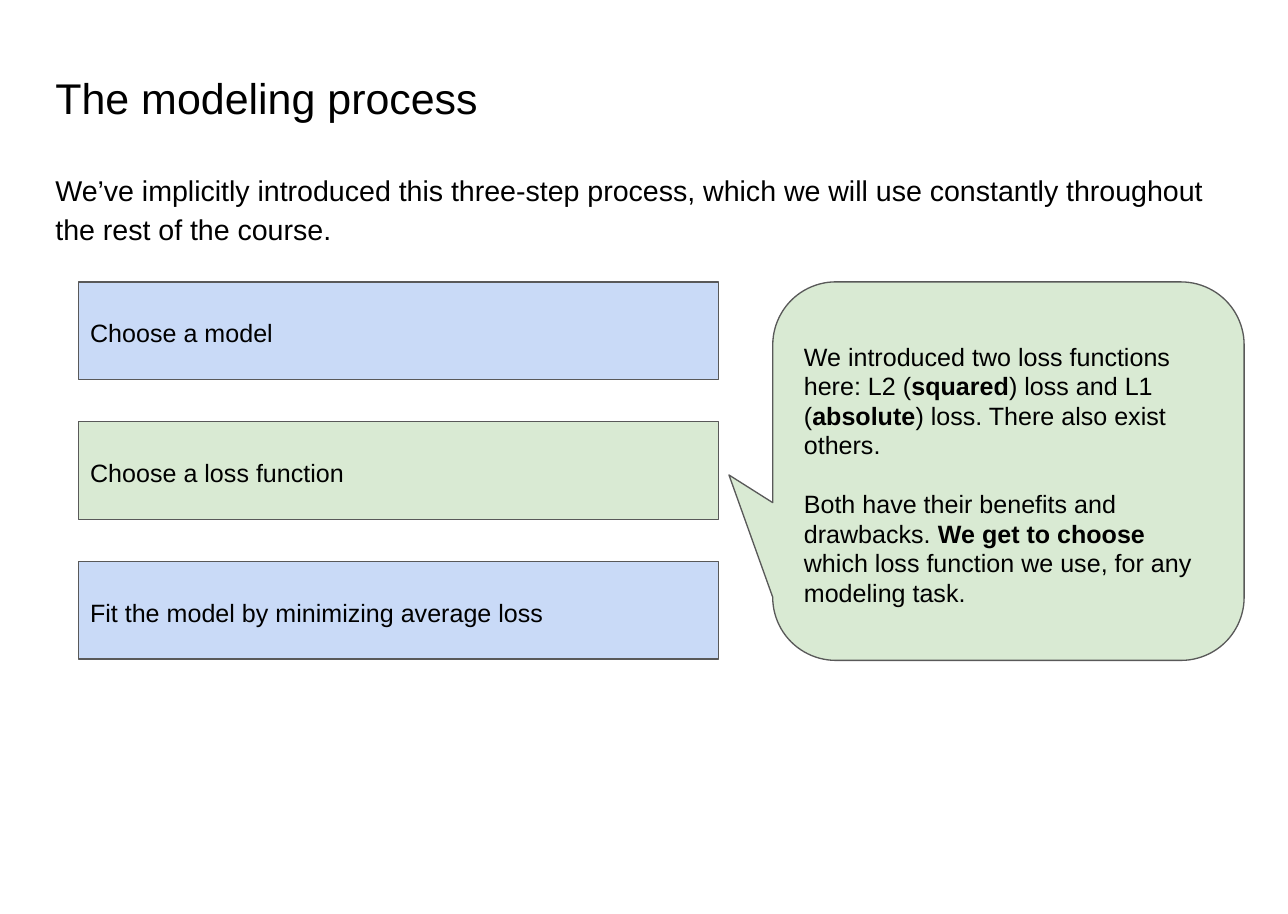
import pptx
import pptx.util
import pptx.dml.color
import pptx.enum.shapes
import pptx.enum.text
from lxml import etree

Inches, Pt = pptx.util.Inches, pptx.util.Pt
RGBColor = pptx.dml.color.RGBColor
Kind = pptx.enum.shapes.MSO_SHAPE
Anchor = pptx.enum.text.MSO_ANCHOR
Align = pptx.enum.text.PP_ALIGN
Fit = pptx.enum.text.MSO_AUTO_SIZE

BLACK = RGBColor(0x00, 0x00, 0x00)
GRAY = RGBColor(0x59, 0x59, 0x59)
BLUE = RGBColor(0xC9, 0xDA, 0xF7)
GREEN = RGBColor(0xD9, 0xEA, 0xD3)

# Content: a paragraph is a list of (text, bold) runs
TITLE = [[("The modeling process", False)]]
INTRO = [[("We’ve implicitly introduced this three-step process, which we "
           "will use constantly throughout the rest of the course.", False)]]
STEPS = [
    ("Choose a model", BLUE),
    ("Choose a loss function", GREEN),
    ("Fit the model by minimizing average loss", BLUE),
]
NOTE = [
    [("We introduced two loss functions here: L2 (", False),
     ("squared", True), (") loss and L1 (", False), ("absolute", True),
     (") loss. There also exist others.", False)],
    [("Both have their benefits and drawbacks. ", False),
     ("We get to choose ", True),
     ("which loss function we use, for any modeling task.", False)],
]

# Layout in inches
LEFT, TOP = 0.61, 2.19
STEP_W, STEP_H, PITCH = 4.97, 0.76, 1.085
NOTE_X, NOTE_W, NOTE_H = 6.0, 3.66, 2.94
TIP_X, TIP_Y = 5.66, 3.69


def style(item, values):
    for name, value in values.items():
        setattr(item, name, value)


def place(shape, *box):
    names = ("left", "top", "width", "height")
    style(shape, dict(zip(names, map(Inches, box))))


def write(shape, paras, size, inset, anchor=Anchor.TOP, **form):
    """Fill a shape with text; inset is left, top, right, bottom."""
    frame = shape.text_frame
    sides = ("margin_left", "margin_top", "margin_right", "margin_bottom")
    style(frame, dict(zip(sides, map(Inches, inset))))
    style(frame, {"word_wrap": True, "auto_size": Fit.NONE,
                  "vertical_anchor": anchor})
    for i, runs in enumerate(paras):
        para = frame.paragraphs[0] if i == 0 else frame.add_paragraph()
        style(para, {"alignment": Align.LEFT, **form})
        for text, bold in runs:
            run = para.add_run()
            run.text = text
            style(run.font, {"name": "Arial", "size": Pt(size), "bold": bold})
            run.font.color.rgb = BLACK


def draw(slide, kind, fill, *box):
    shape = slide.shapes.add_shape(kind, *map(Inches, box))
    shape.shadow.inherit = False
    shape.fill.solid()
    shape.fill.fore_color.rgb = fill
    shape.line.color.rgb = GRAY
    shape.line.width = Pt(0.75)
    return shape


def main():
    deck = pptx.Presentation()
    style(deck, {"slide_width": Inches(10), "slide_height": Inches(7.1)})
    slide = deck.slides.add_slide(deck.slide_layouts[1])

    # Title and intro
    title, body = slide.placeholders
    place(title, 0.42, 0.55, 7.03, 0.43)
    write(title, TITLE, 24, (0.01, 0.01, 0, 0), space_before=Pt(1))
    place(body, 0.42, 1.3, 9.1, 0.63)
    write(body, INTRO, 16, (0.01, 0.01, 0, 0), space_before=Pt(1),
          line_spacing=1.13)
    props = body.text_frame.paragraphs[0]._p.get_or_add_pPr()
    props.set("marL", "0")
    props.set("indent", "0")
    etree.SubElement(props, pptx.oxml.ns.qn("a:buNone"))

    # Three steps
    for i, (text, fill) in enumerate(STEPS):
        step = draw(slide, Kind.RECTANGLE, fill,
                    LEFT, TOP + i * PITCH, STEP_W, STEP_H)
        write(step, [[(text, False)]], 14, (0.09, 0.03, 0, 0), Anchor.MIDDLE)

    # Callout pointing at the loss step
    note = draw(slide, Kind.ROUNDED_RECTANGULAR_CALLOUT, GREEN,
                NOTE_X, TOP, NOTE_W, NOTE_H)
    note.adjustments[0] = (TIP_X - NOTE_X) / NOTE_W - 0.5
    note.adjustments[1] = (TIP_Y - TOP) / NOTE_H - 0.5
    write(note, NOTE, 14, (0.1, 0.32, 0.19, 0), line_spacing=Pt(16.5))
    note.text_frame.paragraphs[1].space_before = Pt(16.5)

    deck.save("out.pptx")


if __name__ == "__main__":
    main()
